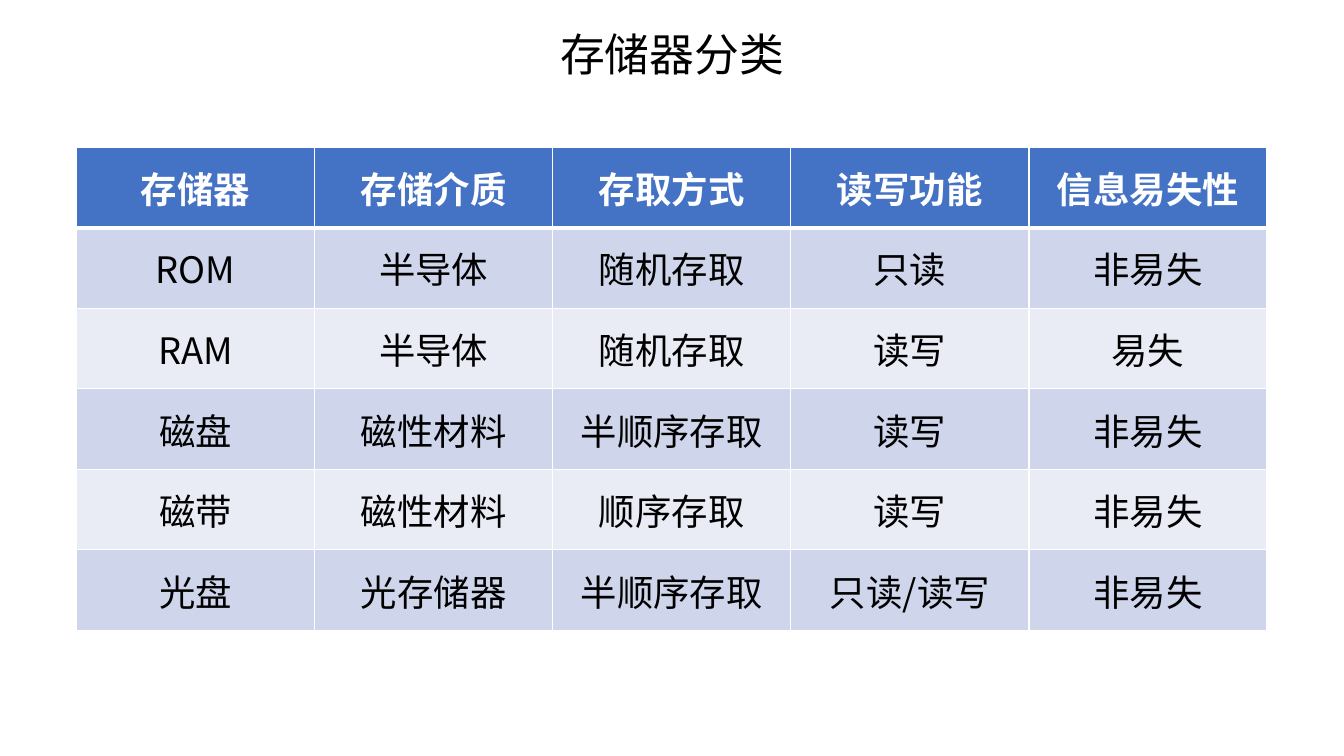
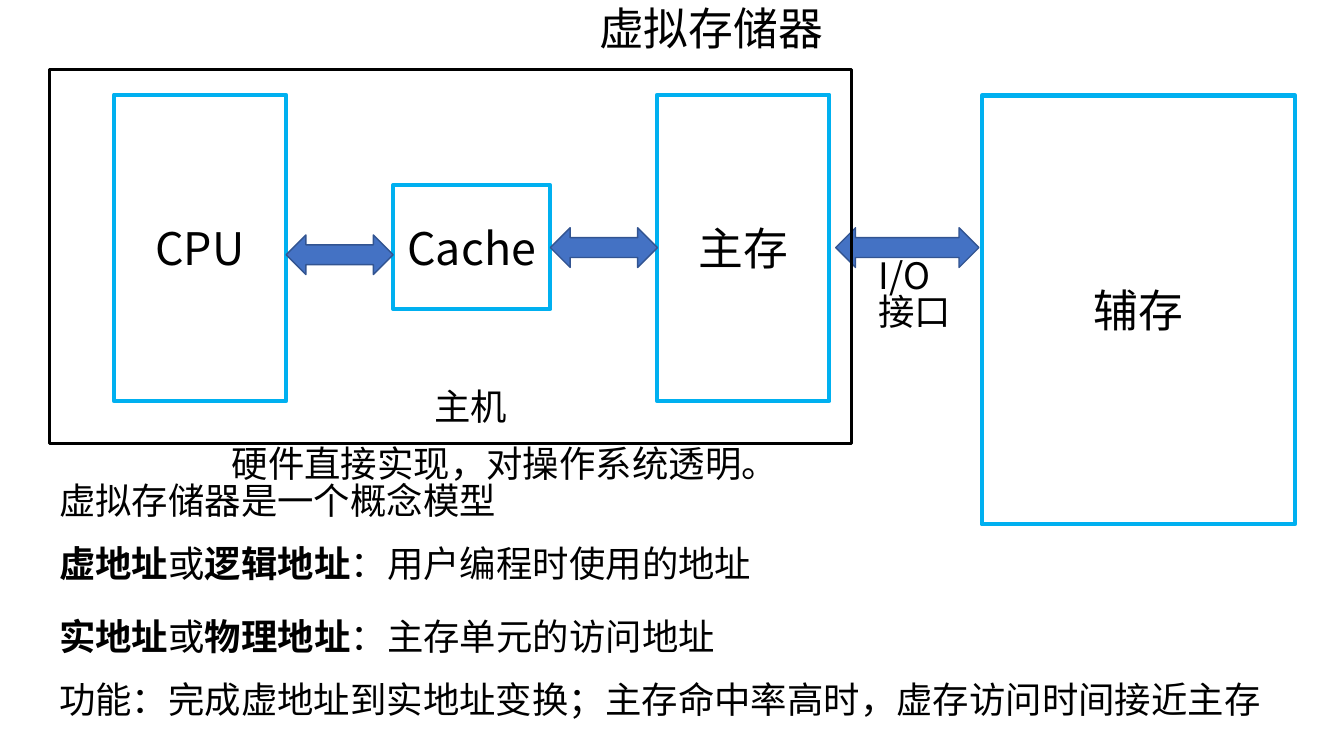
from pptx import Presentation
from pptx.dml.color import RGBColor as RGB
from pptx.enum.shapes import MSO_SHAPE as SHAPE
from pptx.enum.text import MSO_ANCHOR as ANCHOR, MSO_AUTO_SIZE as AUTO, PP_ALIGN as ALIGN
from pptx.oxml.ns import qn
from pptx.util import Cm, Pt
from lxml.etree import SubElement

FONT = "Noto Sans CJK SC"
TITLE_SIZE, BODY_SIZE = 32, 26
LINE_SPACING = 0.83
COLORS = {
    "text": "000000",
    "white": "FFFFFF",
    "accent": "4472C4",
    "arrow_line": "325491",
    "box_line": "00B0F0",
    "band_dark": "CFD5EA",
    "band_light": "E9EBF5",
}
MEMORY_TYPES = [
    ["存储器", "存储介质", "存取方式", "读写功能", "信息易失性"],
    ["ROM", "半导体", "随机存取", "只读", "非易失"],
    ["RAM", "半导体", "随机存取", "读写", "易失"],
    ["磁盘", "磁性材料", "半顺序存取", "读写", "非易失"],
    ["磁带", "磁性材料", "顺序存取", "读写", "非易失"],
    ["光盘", "光存储器", "半顺序存取", "只读/读写", "非易失"],
]


def color(name):
    return RGB.from_string(COLORS[name])


def add_run(p, text, size=BODY_SIZE, bold=False, ink="text"):
    r = p.add_run()
    r.text = text
    r.font.size = Pt(size)
    r.font.bold = bold
    r.font.name = FONT
    r.font.color.rgb = color(ink)
    SubElement(r._r.get_or_add_rPr(), qn("a:ea"), typeface=FONT)


def add_text(slide, x, y, w, h, *runs, size=BODY_SIZE, align=ALIGN.LEFT):
    tf = slide.shapes.add_textbox(Cm(x), Cm(y), Cm(w), Cm(h)).text_frame
    tf.word_wrap = True
    tf.auto_size = AUTO.SHAPE_TO_FIT_TEXT
    p = tf.paragraphs[0]
    p.alignment = align
    p.line_spacing = LINE_SPACING
    for text, bold in runs:
        add_run(p, text, size, bold)


def add_title(slide, x, y, w, text):
    add_text(slide, x, y, w, 1.62, (text, False), size=TITLE_SIZE, align=ALIGN.CENTER)


def add_figure(slide, kind, x, y, w, h, line, weight, fill=None):
    sp = slide.shapes.add_shape(kind, Cm(x), Cm(y), Cm(w), Cm(h))
    sp.shadow.inherit = False
    if fill:
        sp.fill.solid()
        sp.fill.fore_color.rgb = color(fill)
    else:
        sp.fill.background()
    sp.line.color.rgb = color(line)
    sp.line.width = Pt(weight)
    return sp


def add_unit(slide, x, y, w, h, label):
    tf = add_figure(slide, SHAPE.RECTANGLE, x, y, w, h, "box_line", 3).text_frame
    tf.vertical_anchor = ANCHOR.MIDDLE
    p = tf.paragraphs[0]
    p.alignment = ALIGN.CENTER
    add_run(p, label, TITLE_SIZE)


def add_bus(slide, x, y, w):
    add_figure(slide, SHAPE.LEFT_RIGHT_ARROW, x, y, w, 1, "arrow_line", 1, "accent")


def set_borders(cell, bottom):
    tcPr = cell._tc.get_or_add_tcPr()
    for side, weight in (("L", 1), ("R", 1), ("T", 1), ("B", bottom)):
        ln = SubElement(tcPr, qn(f"a:ln{side}"), w=str(Pt(weight)))
        solid = SubElement(ln, qn("a:solidFill"))
        SubElement(solid, qn("a:srgbClr"), val=COLORS["white"])


def fill_cell(cell, text, row):
    header = row == 0
    set_borders(cell, 3 if header else 1)
    band = "band_dark" if row % 2 else "band_light"
    cell.fill.solid()
    cell.fill.fore_color.rgb = color("accent" if header else band)
    cell.vertical_anchor = ANCHOR.MIDDLE
    p = cell.text_frame.paragraphs[0]
    p.alignment = ALIGN.CENTER
    add_run(p, text, bold=header, ink="white" if header else "text")


def add_grid(slide, x, y, col_w, row_h, rows):
    n_rows, n_cols = len(rows), len(rows[0])
    table = slide.shapes.add_table(
        n_rows, n_cols, Cm(x), Cm(y), Cm(col_w * n_cols), Cm(row_h * n_rows)
    ).table
    for col in table.columns:
        col.width = Cm(col_w)
    for i, texts in enumerate(rows):
        table.rows[i].height = Cm(row_h)
        for j, text in enumerate(texts):
            fill_cell(table.cell(i, j), text, i)


def build_classification(slide):
    add_title(slide, 10.08, 0.79, 13.72, "存储器分类")
    add_grid(slide, 1.93, 3.71, 6, 2.03, MEMORY_TYPES)


def build_virtual_memory(slide):
    add_title(slide, 10.29, 0.13, 15.27, "虚拟存储器")
    add_text(slide, 5.59, 11.18, 13.89, 1.37, ("硬件直接实现，对操作系统透明。", False))

    for x, y, w, h, label in (
        (2.87, 2.39, 4.34, 7.72, "CPU"),
        (16.56, 2.39, 4.34, 7.72, "主存"),
        (9.91, 4.67, 3.96, 3.12, "Cache"),
        (24.74, 2.41, 7.9, 10.8, "辅存"),
    ):
        add_unit(slide, x, y, w, h, label)
    for x, y, w in ((7.21, 5.92, 2.7), (13.87, 5.74, 2.7), (21.06, 5.74, 3.61)):
        add_bus(slide, x, y, w)
    add_figure(slide, SHAPE.RECTANGLE, 1.24, 1.75, 20.22, 9.42, "text", 2.25)
    add_text(slide, 10.69, 9.73, 2.39, 1.37, ("主机", False))
    add_text(slide, 21.89, 6.43, 2.39, 2.49, ("I/O接口", False))

    for y, runs in (
        (12.12, [("虚拟存储器是一个概念模型", False)]),
        (13.69, [("虚地址", True), ("或", False), ("逻辑地址", True),
                 ("：用户编程时使用的地址", False)]),
        (15.54, [("实地址", True), ("或", False), ("物理地址", True),
                 ("：主存单元的访问地址", False)]),
        (17.12, [("功能：完成虚地址到实地址变换；主存命中率高时，虚存访问时间接近主存", False)]),
    ):
        add_text(slide, 1.24, y, 31.4, 1.37, *runs)


def main():
    prs = Presentation()
    prs.slide_width, prs.slide_height = Cm(33.87), Cm(19.05)
    for build in (build_classification, build_virtual_memory):
        build(prs.slides.add_slide(prs.slide_layouts[6]))
    prs.save("out.pptx")


if __name__ == "__main__":
    main()
